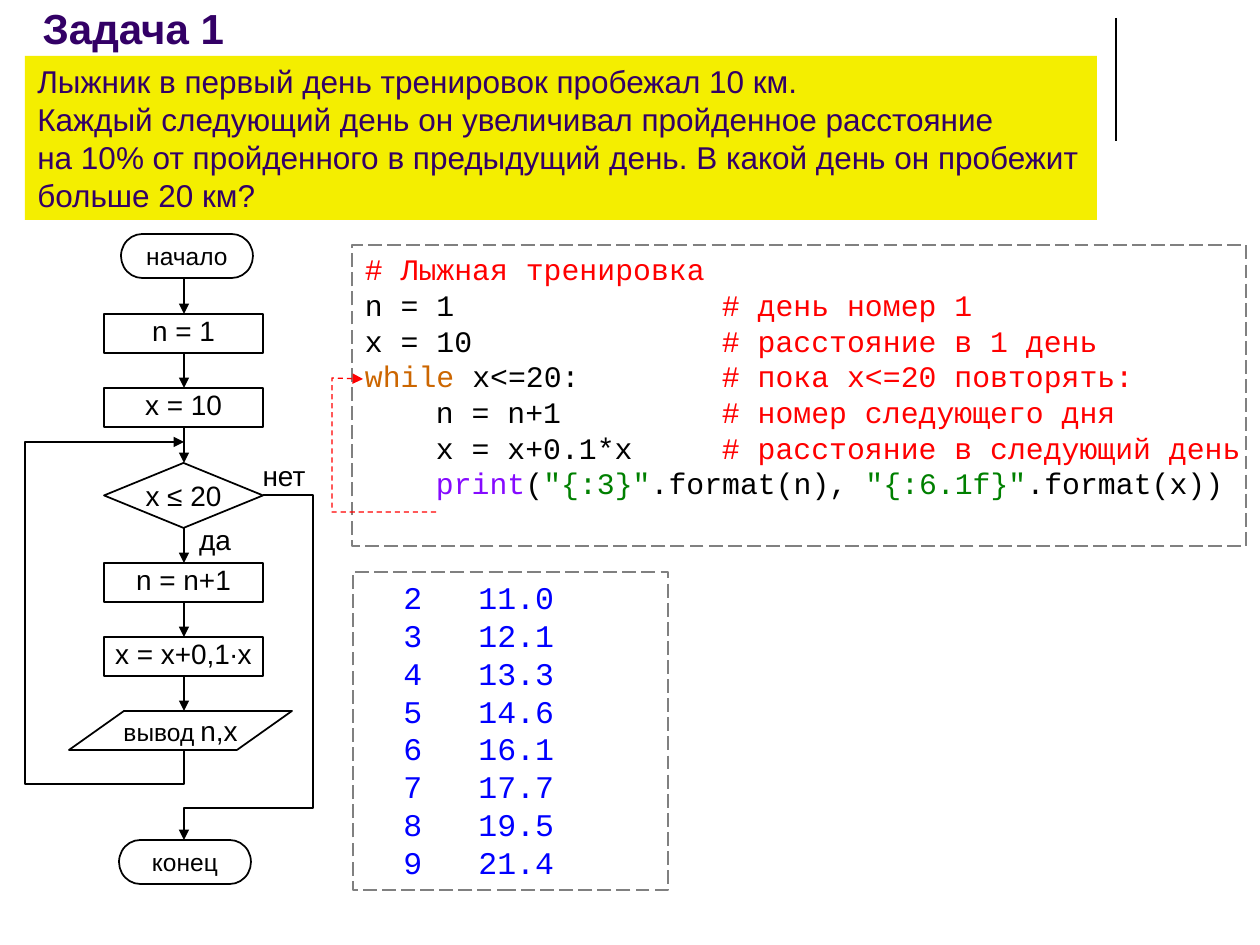
"""Build the skier task slide: statement, flowchart, program and its output."""
from itertools import pairwise

from lxml.etree import SubElement
from pptx import Presentation
from pptx.dml.color import RGBColor
from pptx.enum.dml import MSO_LINE
from pptx.enum.shapes import MSO_CONNECTOR, MSO_SHAPE
from pptx.enum.text import MSO_ANCHOR, PP_ALIGN
from pptx.oxml.ns import qn
from pptx.util import Emu, Pt

SCALE = 914400 / 126
BLACK, WHITE, RED, GREEN, GRAY = "000000", "FFFFFF", "FF0000", "008000", "808080"
PURPLE, YELLOW, ORANGE, VIOLET, BLUE = "330066", "F4EE00", "CC6600", "850AFF", "0000FF"
SANS, MONO = "Arial", "Courier New"

TITLE = "Задача 1"
TASK = (
    "Лыжник в первый день тренировок пробежал 10 км.\v"
    "Каждый следующий день он увеличивал пройденное расстояние\v"
    "на 10% от пройденного в предыдущий день. В какой день он пробежит больше 20 км?"
)
CODE = [
    [("# Лыжная тренировка", RED)],
    [("n = 1\t", BLACK), ("# день номер 1", RED)],
    [("x = 10\t", BLACK), ("# расстояние в 1 день", RED)],
    [("while", ORANGE), (" x<=20:\t", BLACK), ("# пока x<=20 повторять:", RED)],
    [("\tn = n+1\t", BLACK), ("# номер следующего дня", RED)],
    [("\tx = x+0.1*x\t", BLACK), ("# расстояние в следующий день", RED)],
    [("\t", BLACK), ("print", VIOLET), ("(", BLACK), ('"{:3}"', GREEN),
     (".format(n), ", BLACK), ('"{:6.1f}"', GREEN), (".format(x))", BLACK)],
]
RESULTS = [(2, "11.0"), (3, "12.1"), (4, "13.3"), (5, "14.6"),
           (6, "16.1"), (7, "17.7"), (8, "19.5"), (9, "21.4")]

TERMINATOR, PROCESS = MSO_SHAPE.FLOWCHART_TERMINATOR, MSO_SHAPE.RECTANGLE
DECISION, OUTPUT = MSO_SHAPE.FLOWCHART_DECISION, MSO_SHAPE.PARALLELOGRAM
STEPS = [
    (TERMINATOR, (121, 234, 132, 44), "начало", 14),
    (PROCESS, (104, 314, 159, 39), "n = 1", 16),
    (PROCESS, (104, 388, 159, 39), "x = 10", 16),
    (DECISION, (104, 463, 159, 65), "x ≤ 20", 16),
    (PROCESS, (104, 563, 159, 39), "n = n+1", 16),
    (PROCESS, (104, 637, 159, 39), "x = x+0,1∙x", 16),
    (OUTPUT, (69, 711, 223, 39), [("вывод", BLACK, 14), (" ", BLACK, 12), ("n,x", BLACK, 16)], 16),
    (TERMINATOR, (119, 840, 132, 44), "конец", 14),
]
LABELS = [("да", (179, 523, 72, 42)), ("нет", (248, 459, 72, 42))]
AXIS = 184
LOOP = [(AXIS, 750), (AXIS, 784), (25, 784), (25, 442), (AXIS, 442)]
EXIT = [(263, 495), (313, 495), (313, 808), (AXIS, 808), (AXIS, 840)]
CODE_LOOP = [(436, 512), (332, 512), (332, 378), (363, 379)]


def px(value):
    return Emu(round(value * SCALE))


def color(code):
    return RGBColor.from_string(code)


def write(frame, lines, size, font, ink, align=PP_ALIGN.LEFT,
          anchor=MSO_ANCHOR.TOP, tabs=(), insets=None):
    frame.word_wrap = align == PP_ALIGN.LEFT
    frame.vertical_anchor = anchor
    if insets:
        (frame.margin_left, frame.margin_top,
         frame.margin_right, frame.margin_bottom) = map(px, insets)
    for index, line in enumerate(lines):
        para = frame.add_paragraph() if index else frame.paragraphs[0]
        para.alignment = align
        para.line_spacing = Pt(size * 1.2)
        para.space_before = Pt(0)
        if tabs:
            stops = SubElement(para._p.get_or_add_pPr(), qn("a:tabLst"))
            for stop in tabs:
                SubElement(stops, qn("a:tab"), pos=str(px(stop)), algn="l")
        para.font.name, para.font.size = font, Pt(size)
        para.font.color.rgb = color(ink)
        if isinstance(line, str):
            para.text = line
            continue
        for text, tint, *own_size in line:
            span = para.add_run()
            span.text = text
            span.font.color.rgb = color(tint)
            if own_size:
                span.font.size = Pt(own_size[0])


def stroke(line, ink, width=1, dash=None, arrow=False):
    line.color.rgb = color(ink)
    line.width = Pt(width)
    if dash:
        line.dash_style = dash
    if arrow:
        SubElement(line._get_or_add_ln(), qn("a:tailEnd"), type="triangle")


def add_box(page, kind, place, fill=None, ink=None, dash=None):
    box = page.shapes.add_shape(kind, *map(px, place))
    box.shadow.inherit = False
    if fill:
        box.fill.solid()
        box.fill.fore_color.rgb = color(fill)
    else:
        box.fill.background()
    if ink:
        stroke(box.line, ink, dash=dash)
    else:
        box.line.fill.background()
    return box


def add_line(page, start, end, width=1, arrow=True):
    link = page.shapes.add_connector(MSO_CONNECTOR.STRAIGHT, *map(px, (*start, *end)))
    stroke(link.line, BLACK, width, arrow=arrow)
    SubElement(link._element.spPr, qn("a:effectLst"))


def add_route(page, points, ink=BLACK, width=1, dash=None):
    start, *rest = [(px(x), px(y)) for x, y in points]
    builder = page.shapes.build_freeform(*start)
    builder.add_line_segments(rest, close=False)
    route = builder.convert_to_shape()
    route.shadow.inherit = False
    route.fill.background()
    stroke(route.line, ink, width, dash, arrow=True)


def add_flowchart(page):
    for kind, place, label, size in STEPS:
        box = add_box(page, kind, place, WHITE, BLACK)
        if kind == OUTPUT:
            box.adjustments[0] = 1.41
        anchor = MSO_ANCHOR.TOP if kind == PROCESS else MSO_ANCHOR.MIDDLE
        write(box.text_frame, [label], size, SANS, BLACK, PP_ALIGN.CENTER, anchor,
              insets=(0, 0, 0, 0))
    for (_, above, *_), (_, below, *_) in pairwise(STEPS[:-1]):
        add_line(page, (AXIS, above[1] + above[3]), (AXIS, below[1]))
    for label, place in LABELS:
        box = page.shapes.add_textbox(*map(px, place))
        write(box.text_frame, [label], 16, SANS, BLACK, PP_ALIGN.CENTER,
              insets=(0, 0, 0, 0))
    add_route(page, LOOP)
    add_route(page, EXIT)


def main():
    deck = Presentation()
    deck.slide_width, deck.slide_height = px(1260), px(945)
    page = deck.slides.add_slide(deck.slide_layouts[5])
    add_line(page, (1116, 18), (1116, 141), 0.75, arrow=False)

    title = page.shapes.title
    title.left, title.top, title.width, title.height = map(px, (30, 0, 1040, 59))
    write(title.text_frame, [TITLE], 24, SANS, PURPLE, anchor=MSO_ANCHOR.BOTTOM)
    title.text_frame.paragraphs[0].font.bold = True

    task = add_box(page, MSO_SHAPE.RECTANGLE, (25, 56, 1072, 164), YELLOW)
    write(task.text_frame, [TASK], 18, SANS, PURPLE)

    add_flowchart(page)

    code = add_box(page, MSO_SHAPE.RECTANGLE, (352, 245, 894, 301), WHITE, GRAY,
                   MSO_LINE.LONG_DASH)
    write(code.text_frame, CODE, 17, MONO, BLACK, tabs=(71, 357), insets=(13, 6, 0, 6))
    add_route(page, CODE_LOOP, RED, 0.75, MSO_LINE.DASH)

    output = add_box(page, MSO_SHAPE.RECTANGLE, (353, 572, 315, 318), None, GRAY,
                     MSO_LINE.LONG_DASH)
    rows = [f"\t{day}\t{distance}" for day, distance in RESULTS]
    write(output.text_frame, rows, 18, MONO, BLUE, tabs=(38, 113))
    deck.save("out.pptx")


if __name__ == "__main__":
    main()
